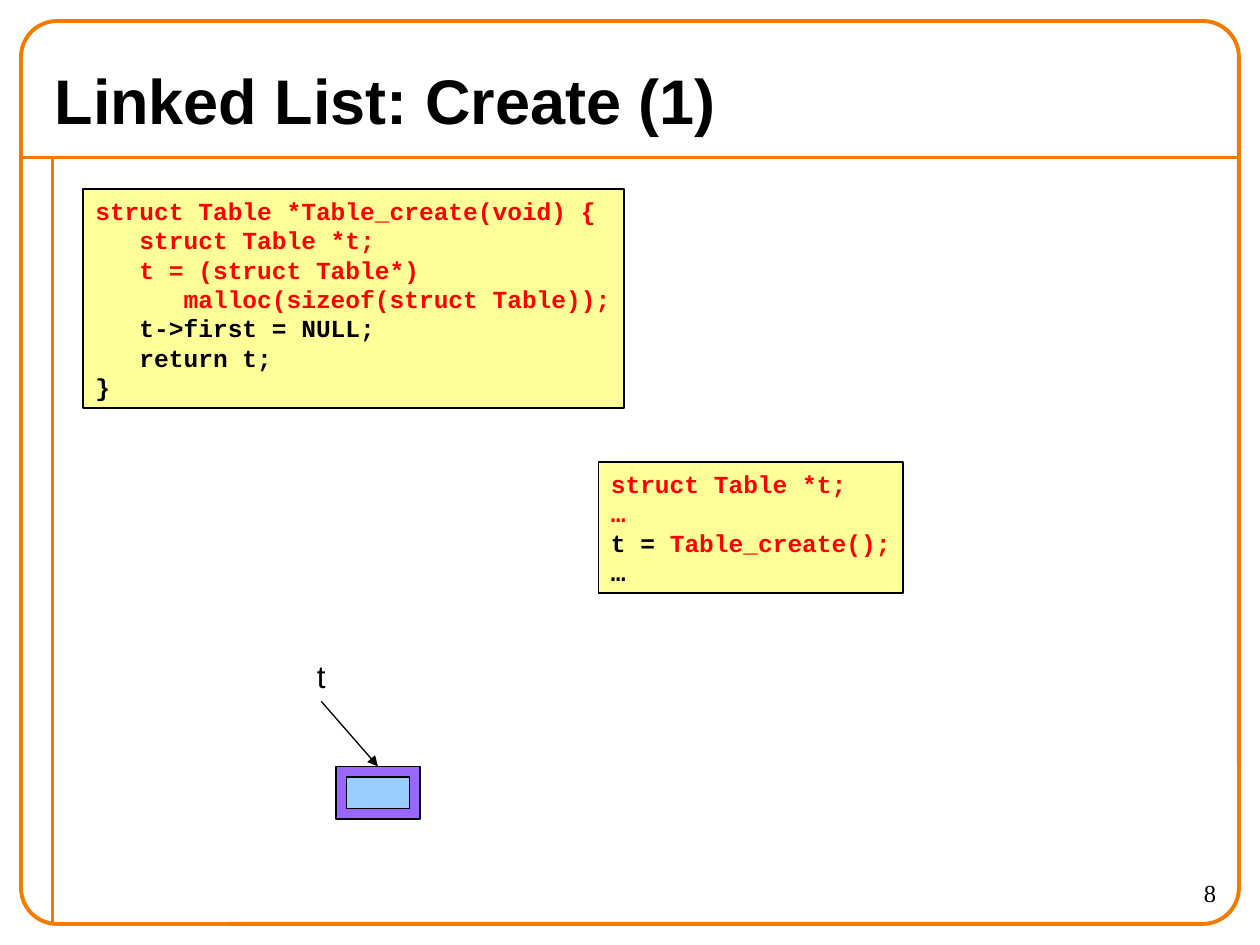
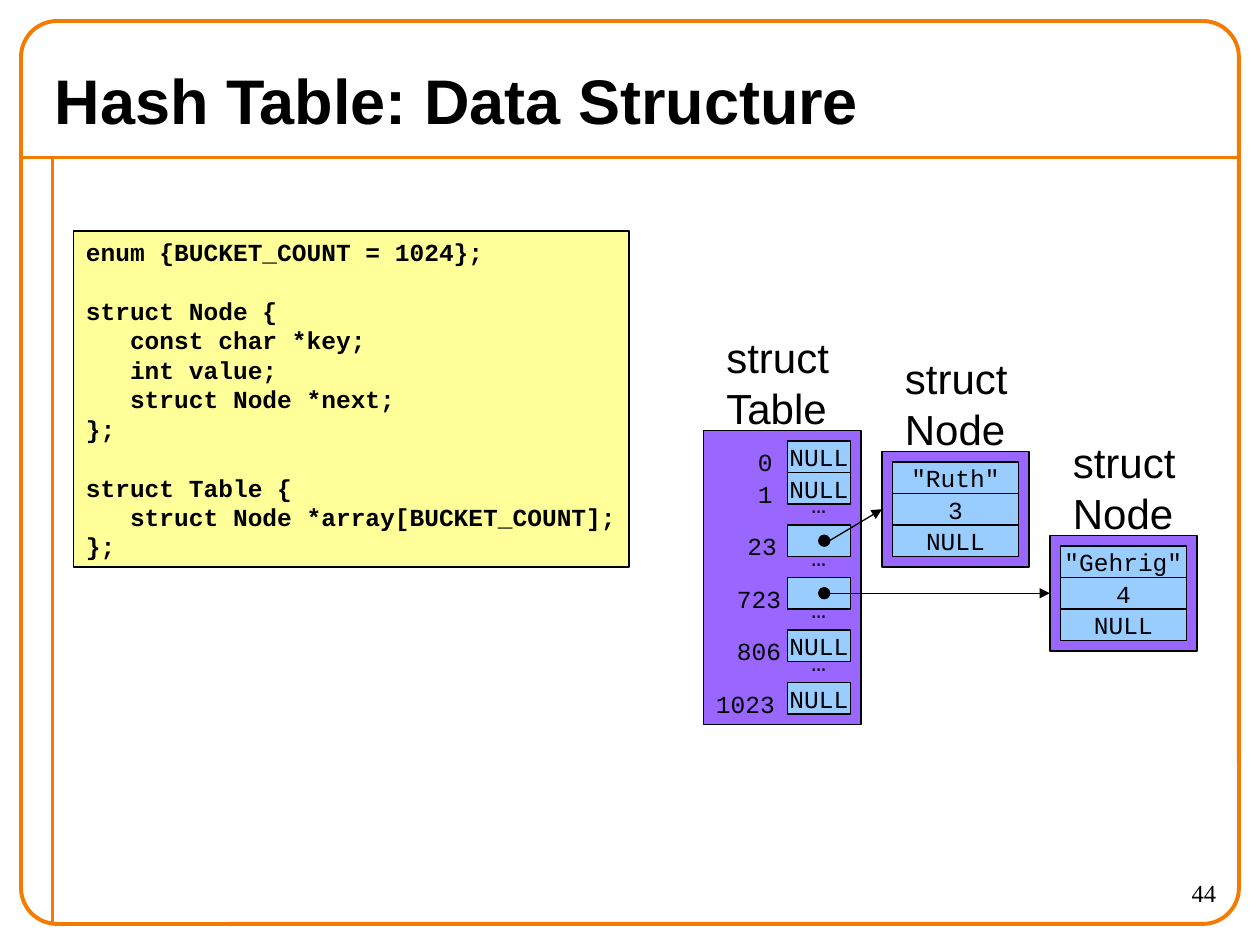
from lxml.etree import SubElement
from pptx import Presentation
from pptx.dml.color import RGBColor
from pptx.enum.shapes import MSO_CONNECTOR, MSO_SHAPE
from pptx.enum.text import MSO_ANCHOR, PP_ALIGN
from pptx.oxml.ns import qn
from pptx.util import Pt

PX = 7620
ORANGE = RGBColor(0xF4, 0x7A, 0x00)
YELLOW = RGBColor(0xFF, 0xFF, 0x99)
PURPLE = RGBColor(0x99, 0x66, 0xFF)
BLUE = RGBColor(0x99, 0xCC, 0xFF)
RED = RGBColor(0xFF, 0x00, 0x00)
BLACK = RGBColor(0x00, 0x00, 0x00)
SANS, MONO, SERIF = "Arial", "Courier New", "Times New Roman"
CELL, PAD = 30, 10

CREATE = [
    (RED, "struct Table *Table_create(void) {"),
    (RED, "   struct Table *t;"),
    (RED, "   t = (struct Table*)"),
    (RED, "      malloc(sizeof(struct Table));"),
    (BLACK, "   t->first = NULL;"),
    (BLACK, "   return t;"),
    (BLACK, "}"),
]
CLIENT = [(RED, "struct Table *t;"), (RED, "…"), (BLACK, "t ="), (BLACK, "…")]
STRUCTS = """enum {BUCKET_COUNT = 1024};

struct Node {
   const char *key;
   int value;
   struct Node *next;
};

struct Table {
   struct Node *array[BUCKET_COUNT];
};"""
BUCKETS = [
    ("0", 710, 420, "NULL"),
    ("1", 710, 450, "NULL"),
    ("23", 700, 500, ""),
    ("723", 690, 550, ""),
    ("806", 690, 600, "NULL"),
    ("1023", 670, 650, "NULL"),
]


def scale(*sizes):
    """Turn px lengths into EMU."""
    return [size * PX for size in sizes]


def style(para, face, size, ink=BLACK, bold=False, align=PP_ALIGN.LEFT):
    """Format one paragraph."""
    para.alignment = align
    font = para.font
    font.name, font.size, font.bold = face, Pt(size), bold
    font.color.rgb = ink


def write(shape, text, *look, **more):
    """Fill a shape with lines of one look."""
    shape.text_frame.text = text
    for para in shape.text_frame.paragraphs:
        style(para, *look, **more)


def label(slide, box, text, face, size, wrap=False, **more):
    """Add plain text."""
    shape = slide.shapes.add_textbox(*scale(*box))
    shape.text_frame.word_wrap = wrap
    write(shape, text, face, size, **more)


def block(slide, box, fill, kind=MSO_SHAPE.RECTANGLE, ink=BLACK, width=1):
    """Add an outlined shape, hollow if fill is None."""
    shape = slide.shapes.add_shape(kind, *scale(*box))
    shape.shadow.inherit = False
    if fill is None:
        shape.fill.background()
    else:
        shape.fill.solid()
        shape.fill.fore_color.rgb = fill
    shape.line.color.rgb = ink
    shape.line.width = Pt(width)
    shape.text_frame.word_wrap = False
    shape.text_frame.vertical_anchor = MSO_ANCHOR.MIDDLE
    return shape


def rule(slide, ends, ink, width):
    """Add a straight line."""
    line = slide.shapes.add_connector(MSO_CONNECTOR.STRAIGHT, *scale(*ends))
    line.line.color.rgb = ink
    line.line.width = Pt(width)
    SubElement(line._element.spPr, qn("a:effectLst"))
    return line


def arrow(slide, ends):
    """Add a thin line with a head at its end."""
    line = rule(slide, ends, BLACK, 0.75)
    SubElement(line.line._get_or_add_ln(), qn("a:tailEnd"), type="triangle")


def code(slide, box, rows):
    """Add a code listing and return its paragraphs."""
    shape = block(slide, box, YELLOW)
    shape.text_frame.text = "\n".join(text for ink, text in rows)
    paras = shape.text_frame.paragraphs
    for para, (ink, text) in zip(paras, rows):
        style(para, MONO, 14, ink, bold=True)
    return paras


def field(slide, x, y, width, text):
    """Add one memory cell."""
    shape = block(slide, (x, y, width, CELL), BLUE)
    if text:
        write(shape, text, MONO, 14, align=PP_ALIGN.CENTER)


def record(slide, x, y, width, values):
    """Add a struct with stacked fields."""
    size = width + 2 * PAD, CELL * len(values) + 2 * PAD
    block(slide, (x, y, *size), PURPLE)
    for row, text in enumerate(values):
        field(slide, x + PAD, y + PAD + row * CELL, width, text)


def caption(slide, x, y, name):
    """Name the struct whose corner is given."""
    label(slide, (x + 10, y - 100, 122, 108), f"struct\n{name}", SANS, 24)


def node(slide, x, y, key, value):
    """Add a list node with its name."""
    record(slide, x, y, 120, [f'"{key}"', value, "NULL"])
    caption(slide, x, y, "Node")


def table(slide, x, y):
    """Add the bucket array with its name."""
    block(slide, (x, y, 150, 280), PURPLE)
    caption(slide, x, y, "Table")
    last = y
    for index, left, top, text in BUCKETS:
        field(slide, 750, top, 60, text)
        label(slide, (left, top, 24 + 14 * len(index), 41), index, MONO, 14)
        if top - last > CELL:
            label(slide, (761, top - 40, 38, 41), "…", MONO, 14)
        last = top


def link(slide, y, end):
    """Add a pointer dot and its arrow."""
    block(slide, (780, y - 5, 10, 10), BLACK, MSO_SHAPE.OVAL)
    arrow(slide, (790, y, *end))


def start(deck, title, page):
    """Add a slide with frame, title and page number."""
    slide = deck.slides.add_slide(deck.slide_layouts[5])
    rule(slide, (20, 150, 1180, 150), ORANGE, 2.25)
    rule(slide, (50, 150, 50, 880), ORANGE, 2.25)
    frame = block(slide, (20, 20, 1160, 860), None,
                  MSO_SHAPE.ROUNDED_RECTANGLE, ORANGE, 2.25)
    frame.adjustments[0] = 0.04
    label(slide, (1050, 830, 120, 50), page, SERIF, 14,
          wrap=True, align=PP_ALIGN.RIGHT)
    head = slide.shapes.title
    head.left, head.top, head.width, head.height = scale(40, 50, 1120, 90)
    head.text_frame.vertical_anchor = MSO_ANCHOR.MIDDLE
    write(head, title, SANS, 36, bold=True)
    return slide


def create(deck):
    """Build the slide on creating a list."""
    slide = start(deck, "Linked List: Create (1)", "8")
    code(slide, (79, 180, 515, 209), CREATE)
    call = code(slide, (570, 440, 290, 125), CLIENT)[2].add_run()
    call.text = " Table_create();"
    call.font.color.rgb = RED
    label(slide, (290, 620, 32, 48), "t", SANS, 18)
    record(slide, 320, 730, 60, [""])
    arrow(slide, (306, 668, 360, 730))


def layout(deck):
    """Build the slide on the hash table."""
    slide = start(deck, "Hash Table: Data Structure", "44")
    rows = [(BLACK, text) for text in STRUCTS.split("\n")]
    code(slide, (70, 220, 529, 320), rows)
    table(slide, 670, 410)
    node(slide, 840, 430, "Ruth", "3")
    node(slide, 1000, 510, "Gehrig", "4")
    link(slide, 515, (840, 485))
    link(slide, 565, (1000, 565))


def main():
    """Build and save the deck."""
    deck = Presentation()
    deck.slide_width, deck.slide_height = scale(1200, 900)
    create(deck)
    layout(deck)
    deck.save("out.pptx")


if __name__ == "__main__":
    main()
